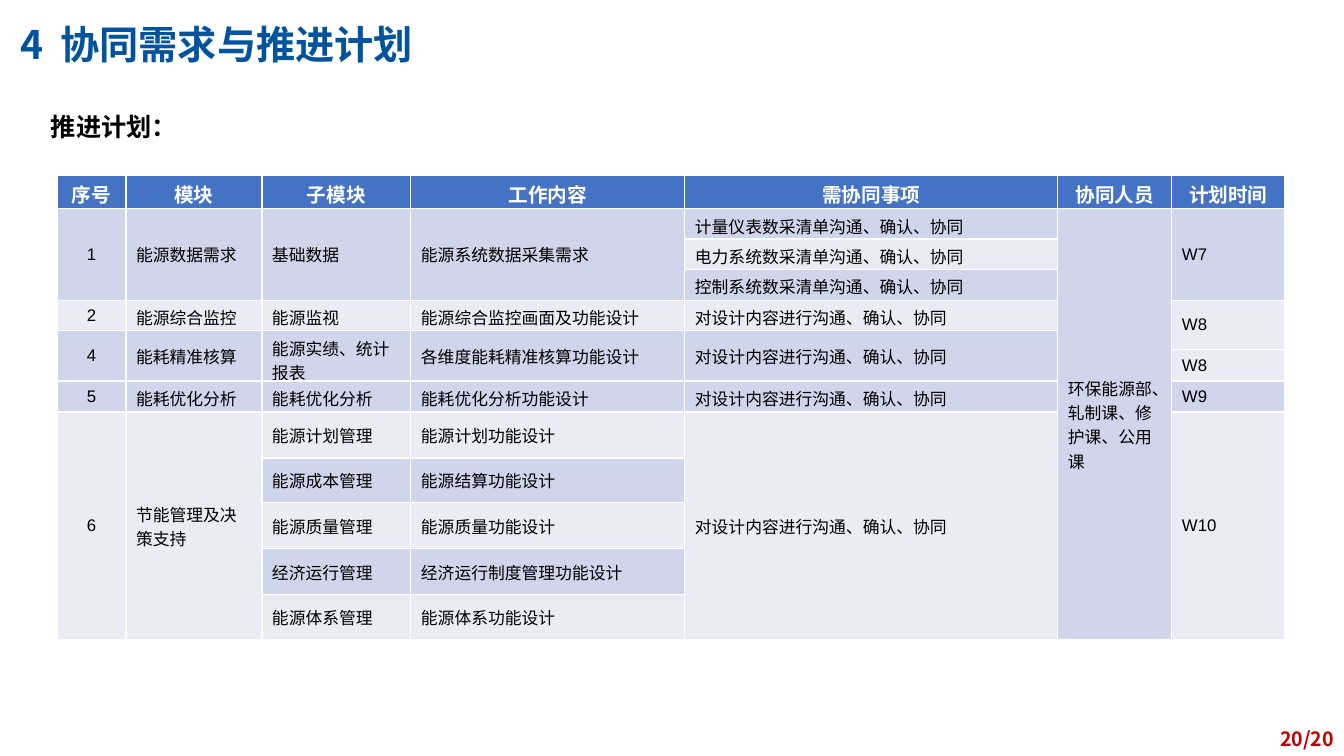
from dataclasses import dataclass

from lxml.etree import SubElement
from pptx import Presentation
from pptx.dml.color import RGBColor
from pptx.enum.text import MSO_ANCHOR, PP_ALIGN
from pptx.oxml.ns import qn
from pptx.slide import Slide
from pptx.table import Table, _Cell
from pptx.util import Emu, Pt

EMU_PER_PX = 914400 / 100.8
COLORS = {
    "page": "FFFFFF",
    "title": "02539E",
    "text": "000000",
    "number": "C00000",
    "header": "4472C4",
    "header_text": "FFFFFF",
    "odd_row": "CFD5EA",
    "even_row": "E9EBF5",
}
CJK_FONT = "Noto Sans CJK SC"
ROW_HEIGHTS = [33, 30, 30, 31, 30, 19, 31, 31] + [46, 45, 46, 46, 45]


@dataclass
class Entry:
    text: str
    span: int = 1


@dataclass
class Column:
    heading: str
    width: int
    entries: list[Entry]
    align: PP_ALIGN = PP_ALIGN.LEFT


DESIGN_TALK = "对设计内容进行沟通、确认、协同"
COLUMNS = [
    Column("序号", 69, [Entry("1", 3), Entry("2"), Entry("4", 2), Entry("5"),
                      Entry("6", 5)], PP_ALIGN.CENTER),
    Column("模块", 136, [Entry("能源数据需求", 3), Entry("能源综合监控"),
                       Entry("能耗精准核算", 2), Entry("能耗优化分析"),
                       Entry("节能管理及决策支持", 5)]),
    Column("子模块", 149, [Entry("基础数据", 3), Entry("能源监视"),
                        Entry("能源实绩、统计报表", 2), Entry("能耗优化分析"),
                        Entry("能源计划管理"), Entry("能源成本管理"),
                        Entry("能源质量管理"), Entry("经济运行管理"),
                        Entry("能源体系管理")]),
    Column("工作内容", 274, [Entry("能源系统数据采集需求", 3),
                         Entry("能源综合监控画面及功能设计"),
                         Entry("各维度能耗精准核算功能设计", 2),
                         Entry("能耗优化分析功能设计"), Entry("能源计划功能设计"),
                         Entry("能源结算功能设计"), Entry("能源质量功能设计"),
                         Entry("经济运行制度管理功能设计"),
                         Entry("能源体系功能设计")]),
    Column("需协同事项", 373, [Entry("计量仪表数采清单沟通、确认、协同"),
                          Entry("电力系统数采清单沟通、确认、协同"),
                          Entry("控制系统数采清单沟通、确认、协同"),
                          Entry(DESIGN_TALK), Entry(DESIGN_TALK, 2),
                          Entry(DESIGN_TALK), Entry(DESIGN_TALK, 5)]),
    Column("协同人员", 114, [Entry("环保能源部、轧制课、修护课、公用课", 12)]),
    Column("计划时间", 113, [Entry("W7", 3), Entry("W8", 2), Entry("W8"),
                         Entry("W9"), Entry("W10", 5)]),
]


def px(length: int) -> Emu:
    return Emu(round(length * EMU_PER_PX))


def color(name: str) -> RGBColor:
    return RGBColor.from_string(COLORS[name])


def style_font(font, size: int, color_name: str, bold: bool, name: str = "Arial") -> None:
    font.size, font.bold, font.name = Pt(size), bold, name
    font.color.rgb = color(color_name)


def set_east_asian_font(run) -> None:
    SubElement(run.font._element, qn("a:ea"), typeface=CJK_FONT)


def add_title(page: Slide) -> None:
    title = page.shapes.title
    title.left, title.top, title.width, title.height = px(10), px(7), px(734), px(66)
    frame = title.text_frame
    frame.word_wrap = True
    frame.vertical_anchor = MSO_ANCHOR.BOTTOM
    para = frame.paragraphs[0]
    para.alignment = PP_ALIGN.LEFT
    para.line_spacing = 0.9
    for text, font_name, spacing in (("4 ", CJK_FONT, 300), ("协同需求与推进计划", "Arial", 0)):
        span = para.add_run()
        span.text = text
        style_font(span.font, 28, "title", True, font_name)
        span.font._element.set("spc", str(spacing))
        set_east_asian_font(span)


def add_label(page: Slide, text: str, place: tuple[int, int, int, int], size: int,
              color_name: str, align: PP_ALIGN, font_name: str) -> None:
    box = page.shapes.add_textbox(*map(px, place))
    box.text_frame.word_wrap = True
    para = box.text_frame.paragraphs[0]
    para.alignment = align
    span = para.add_run()
    span.text = text
    style_font(para.font, size, color_name, True, font_name)
    set_east_asian_font(span)


def fill_cell(cell: _Cell, text: str, fill: str, align: PP_ALIGN, size: int,
              text_color: str, bold: bool) -> None:
    cell.fill.solid()
    cell.fill.fore_color.rgb = color(fill)
    cell.vertical_anchor = MSO_ANCHOR.MIDDLE
    para = cell.text_frame.paragraphs[0]
    para.alignment = align
    span = para.add_run()
    span.text = text
    style_font(para.font, size, text_color, bold)
    set_east_asian_font(span)


def fill_column(table: Table, index: int, column: Column) -> None:
    """Write the heading, then stack the entries, merging each over its span."""
    table.columns[index].width = px(column.width)
    fill_cell(table.cell(0, index), column.heading, "header", PP_ALIGN.CENTER,
              14, "header_text", True)
    row = 1
    for entry in column.entries:
        cell = table.cell(row, index)
        if entry.span > 1:
            cell.merge(table.cell(row + entry.span - 1, index))
        band = "odd_row" if row % 2 else "even_row"
        fill_cell(cell, entry.text, band, column.align, 12, "text", False)
        row += entry.span


def add_plan_table(page: Slide) -> None:
    width = sum(column.width for column in COLUMNS)
    table = page.shapes.add_table(len(ROW_HEIGHTS), len(COLUMNS), px(57), px(175),
                                  px(width), px(sum(ROW_HEIGHTS))).table
    for row, height in zip(table.rows, ROW_HEIGHTS):
        row.height = px(height)
    for index, column in enumerate(COLUMNS):
        fill_column(table, index, column)


def main() -> None:
    deck = Presentation()
    deck.slide_width, deck.slide_height = px(1344), px(756)
    page = deck.slides.add_slide(deck.slide_layouts[5])
    page.background.fill.solid()
    page.background.fill.fore_color.rgb = color("page")
    add_title(page)
    add_label(page, "推进计划：", (41, 106, 1260, 40), 18, "text", PP_ALIGN.LEFT, "Arial")
    add_label(page, "20/20", (1259, 722, 85, 34), 14, "number", PP_ALIGN.RIGHT, CJK_FONT)
    add_plan_table(page)
    deck.save("out.pptx")


if __name__ == "__main__":
    main()
